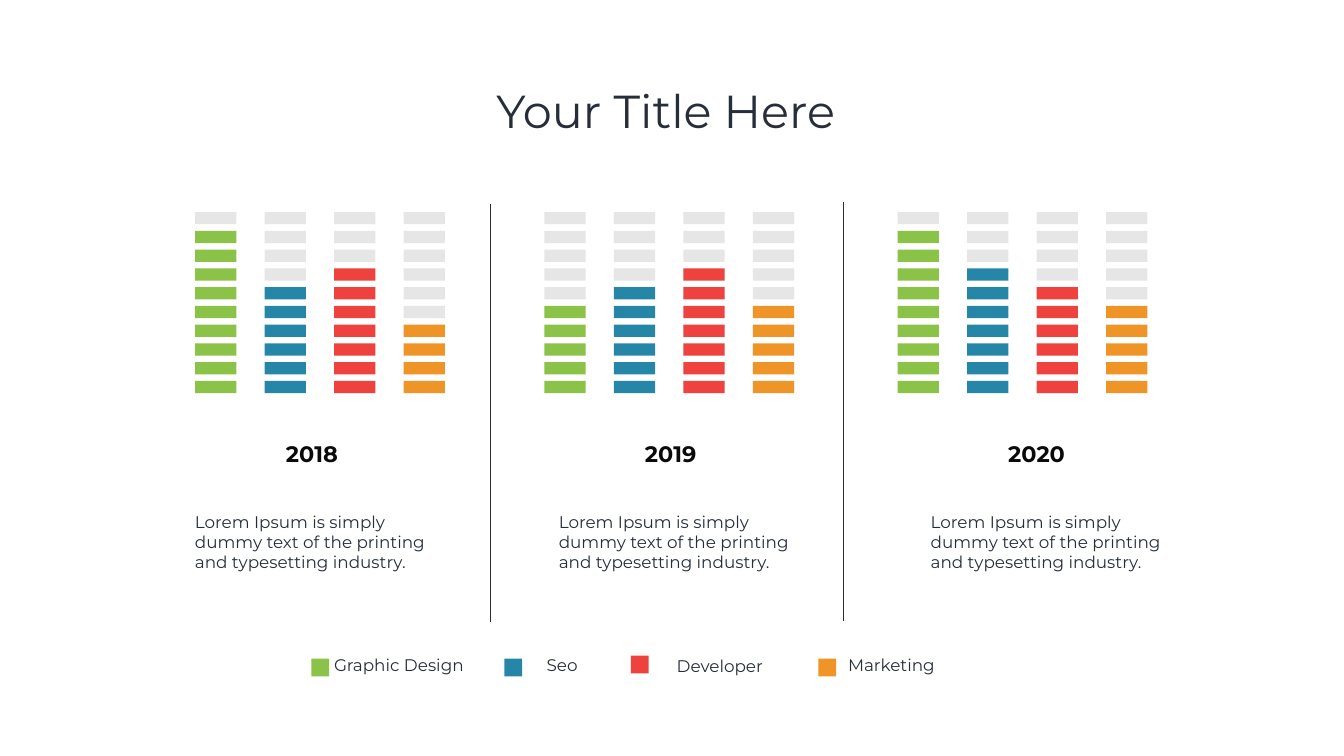
from dataclasses import dataclass

from lxml.etree import SubElement
from pptx import Presentation
from pptx.dml.color import RGBColor
from pptx.enum.shapes import MSO_CONNECTOR, MSO_SHAPE
from pptx.enum.text import MSO_ANCHOR, PP_ALIGN
from pptx.oxml.ns import qn
from pptx.shapes.shapetree import GroupShapes
from pptx.slide import Slide
from pptx.text.text import TextFrame
from pptx.util import Inches, Pt

FONT = "Montserrat"
COLORS = {
    "text": "272E3A",
    "year": "0A0A0A",
    "empty": "E7E6E6",
    "green": "8BC248",
    "blue": "2686A7",
    "red": "ED423D",
    "orange": "EF9527",
}
DESCRIPTION = "Lorem Ipsum is simply dummy text of the printing and typesetting industry."

# Column geometry, in inches
BLOCKS = 10
BLOCK_WIDTH, BLOCK_HEIGHT = 0.82, 0.24
TOP_BLOCK, BOTTOM_BLOCK = 4.21, 7.56
ROW_STEP = (BOTTOM_BLOCK - TOP_BLOCK) / (BLOCKS - 1)
COLUMN_STEP = 1.38


@dataclass
class YearPanel:
    year: str
    chart_left: float
    year_left: float
    description_left: float
    scores: tuple[int, ...]


@dataclass
class LegendEntry:
    label: str
    color: str
    marker_left: float
    marker_top: float
    label_left: float
    label_top: float
    label_width: float


@dataclass
class Divider:
    left: float
    top: float
    bottom: float


PANELS = [
    YearPanel("2018", 3.87, 4.19, 3.77, (9, 6, 7, 4)),
    YearPanel("2019", 10.8, 11.31, 10.99, (5, 6, 7, 5)),
    YearPanel("2020", 17.81, 18.57, 18.37, (9, 7, 6, 5)),
]
LEGEND = [
    LegendEntry("Graphic Design", "green", 6.18, 13.07, 6.53, 12.94, 3.55),
    LegendEntry("Seo", "blue", 10.01, 13.07, 10.75, 12.94, 2.76),
    LegendEntry("Developer", "red", 12.52, 13.01, 13.33, 12.96, 2.76),
    LegendEntry("Marketing", "orange", 16.24, 13.07, 16.73, 12.94, 2.76),
]
DIVIDERS = [Divider(9.73, 4.04, 12.35), Divider(16.73, 4, 12.32)]


def rgb(color: str) -> RGBColor:
    return RGBColor.from_string(COLORS[color])


def write_text(frame: TextFrame, text: str, size: float, color: str = "text",
               align: PP_ALIGN = PP_ALIGN.LEFT, bold: bool = False) -> None:
    frame.word_wrap = True
    para = frame.paragraphs[0]
    para.text = text
    para.alignment = align
    para.font.name = FONT
    para.font.size = Pt(size)
    para.font.bold = bold
    para.font.color.rgb = rgb(color)


def add_rectangle(shapes: GroupShapes, left: float, top: float,
                  width: float, height: float, color: str) -> None:
    box = shapes.add_shape(MSO_SHAPE.RECTANGLE, Inches(left), Inches(top),
                           Inches(width), Inches(height))
    box.shadow.inherit = False
    box.fill.solid()
    box.fill.fore_color.rgb = rgb(color)
    box.line.fill.background()


def add_column(page: Slide, left: float, score: int, color: str) -> None:
    column = page.shapes.add_group_shape()
    for row in range(BLOCKS):
        filled = row >= BLOCKS - score
        add_rectangle(column.shapes, left, TOP_BLOCK + row * ROW_STEP,
                      BLOCK_WIDTH, BLOCK_HEIGHT, color if filled else "empty")


def add_panel(page: Slide, panel: YearPanel) -> None:
    for index, (score, entry) in enumerate(zip(panel.scores, LEGEND)):
        add_column(page, panel.chart_left + index * COLUMN_STEP, score, entry.color)
    year = page.shapes.add_textbox(Inches(panel.year_left), Inches(8.69),
                                   Inches(4), Inches(0.64))
    write_text(year.text_frame, panel.year, 32, "year", PP_ALIGN.CENTER, bold=True)
    description = page.shapes.add_textbox(Inches(panel.description_left), Inches(10.1),
                                          Inches(5), Inches(1.31))
    write_text(description.text_frame, DESCRIPTION, 24)


def add_legend_entry(page: Slide, entry: LegendEntry) -> None:
    add_rectangle(page.shapes, entry.marker_left, entry.marker_top, 0.35, 0.35, entry.color)
    label = page.shapes.add_textbox(Inches(entry.label_left), Inches(entry.label_top),
                                    Inches(entry.label_width), Inches(0.5))
    write_text(label.text_frame, entry.label, 24)


def add_divider(page: Slide, divider: Divider) -> None:
    line = page.shapes.add_connector(MSO_CONNECTOR.STRAIGHT,
                                     Inches(divider.left), Inches(divider.top),
                                     Inches(divider.left), Inches(divider.bottom))
    line.line.color.rgb = rgb("text")
    line.line.width = Pt(0.75)
    SubElement(line._element.spPr, qn("a:effectLst"))


def main() -> None:
    deck = Presentation()
    deck.slide_width, deck.slide_height = Inches(26.67), Inches(15)
    page = deck.slides.add_slide(deck.slide_layouts[5])

    # Title
    title = page.shapes.title
    title.left, title.top = Inches(1.83), Inches(0.8)
    title.width, title.height = Inches(23), Inches(2.9)
    title.text_frame.vertical_anchor = MSO_ANCHOR.MIDDLE
    write_text(title.text_frame, "Your Title Here ", 66, align=PP_ALIGN.CENTER)
    title.text_frame.paragraphs[0].line_spacing = 0.9

    # Yearly block charts with captions
    for panel in PANELS:
        add_panel(page, panel)

    # Legend
    for entry in LEGEND:
        add_legend_entry(page, entry)

    # Lines between the years
    for divider in DIVIDERS:
        add_divider(page, divider)

    deck.save("out.pptx")


if __name__ == "__main__":
    main()
